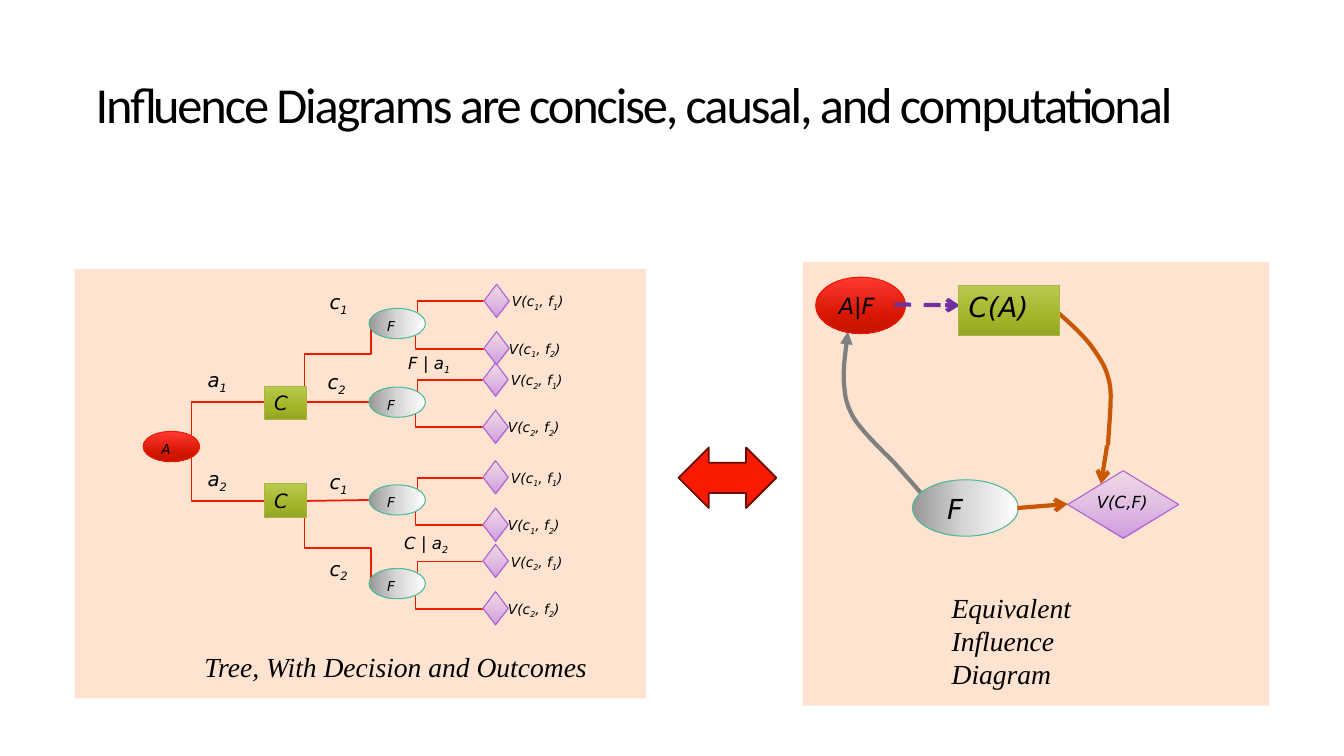
from dataclasses import dataclass
from itertools import product
from typing import NamedTuple

from lxml.etree import SubElement
from pptx import Presentation
from pptx.dml.color import RGBColor
from pptx.enum.dml import MSO_LINE
from pptx.enum.shapes import MSO_CONNECTOR, MSO_SHAPE
from pptx.enum.text import MSO_ANCHOR, MSO_AUTO_SIZE, PP_ALIGN
from pptx.oxml import parse_xml
from pptx.oxml.ns import nsdecls, qn
from pptx.util import Emu, Pt

SCALE = 9144  # EMU in one px, 100 px to the inch


class Stop(NamedTuple):
    position: int
    color: str
    opacity: int = 100


class Style(NamedTuple):
    shape: MSO_SHAPE
    outline: str
    angle: int
    stops: tuple[Stop, ...]


class Point(NamedTuple):
    x: int
    y: int


class Branch(NamedTuple):
    """An F node of the tree with its two outcomes."""
    top: int
    choice: int
    diamond_left: int


class Label(NamedTuple):
    text: str
    left: int
    top: int
    width: int
    height: int
    size: float


@dataclass(frozen=True)
class Theme:
    panel: str = "FEE4D0"
    ink: str = "000000"
    tree_line: str = "ED1A02"
    causal: str = "CA5703"
    feedback: str = "808080"
    inform: str = "7030A0"
    arrow: str = "F81B02"
    arrow_edge: str = "680B01"
    sans: str = "DejaVu Sans"
    serif: str = "Times New Roman"
    heading: str = "Calibri"
    title: float = 36
    large: float = 19.7
    node: float = 16
    medium: float = 14.1
    small: float = 11.9
    tiny: float = 9.8


THEME = Theme()
ACTION = Style(MSO_SHAPE.OVAL, "ED1A02", 90,
               (Stop(0, "FF3933"), Stop(69, "D51600"), Stop(100, "C31400")))
CHANCE = Style(MSO_SHAPE.OVAL, "4CBB98", 0,
               (Stop(0, "979797"), Stop(50, "D7D7D7"), Stop(100, "FFFFFF")))
CHOICE = Style(MSO_SHAPE.RECTANGLE, "A7B63E", 90,
               (Stop(0, "B9C94F"), Stop(69, "A1B327"), Stop(100, "94A424")))
VALUE = Style(MSO_SHAPE.DIAMOND, "AD5CCB", 90,
              (Stop(0, "E7D1F1", 60), Stop(100, "CA94E2", 92)))

deck = Presentation()
deck.slide_width, deck.slide_height = Emu(1333 * SCALE), Emu(750 * SCALE)
page = deck.slides.add_slide(deck.slide_layouts[5])


def px(*lengths: int) -> list[Emu]:
    return [Emu(round(length * SCALE)) for length in lengths]


def write(box, text: str, *, size: float, font: str = THEME.sans, italic: bool = True,
          anchor=MSO_ANCHOR.TOP, align=PP_ALIGN.LEFT, left_inset: int = 10) -> None:
    """Write lines of text; the digit after each underscore is a subscript."""
    frame = box.text_frame
    frame.word_wrap = True
    frame.vertical_anchor = anchor
    frame.margin_left, frame.margin_right, frame.margin_top, frame.margin_bottom = px(
        left_inset, 10, 5, 5)
    for index, line in enumerate(text.split("\n")):
        para = frame.add_paragraph() if index else frame.paragraphs[0]
        para.alignment = align
        first, *rest = line.split("_")
        parts = [(first, False)]
        for part in rest:
            parts += [(part[0], True), (part[1:], False)]
        for content, lowered in parts:
            if not content:
                continue
            span = para.add_run()
            span.text = content
            span.font.size, span.font.name, span.font.italic = Pt(size), font, italic
            span.font.color.rgb = RGBColor.from_string(THEME.ink)
            if lowered:
                span._r.get_or_add_rPr().set("baseline", "-25000")


def add_text(label: Label, font: str = THEME.sans) -> None:
    box = page.shapes.add_textbox(*px(*label[1:5]))
    write(box, label.text, size=label.size, font=font)


def add_solid(shape: MSO_SHAPE, *place: int, fill: str, edge: str = "") -> None:
    box = page.shapes.add_shape(shape, *px(*place))
    box.shadow.inherit = False
    box.fill.solid()
    box.fill.fore_color.rgb = RGBColor.from_string(fill)
    if edge:
        stroke(box, edge, 1.25)
    else:
        box.line.fill.background()


def add_node(style: Style, *place: int, text: str = "", vertical: bool = False, **text_format) -> None:
    box = page.shapes.add_shape(style.shape, *px(*place))
    box.shadow.inherit = False
    box.fill.solid()
    stops = "".join(
        f'<a:gs pos="{stop.position * 1000}"><a:srgbClr val="{stop.color}">'
        f'<a:alpha val="{stop.opacity * 1000}"/></a:srgbClr></a:gs>' for stop in style.stops)
    gradient = parse_xml(f'<a:gradFill {nsdecls("a")} rotWithShape="1"><a:gsLst>{stops}</a:gsLst>'
                         f'<a:lin ang="{style.angle * 60000}" scaled="0"/></a:gradFill>')
    properties = box._element.spPr
    properties.replace(properties.find(qn("a:solidFill")), gradient)
    stroke(box, style.outline, 0.75)
    if text:
        write(box, text, **text_format)
    if vertical:
        box.text_frame.auto_size = MSO_AUTO_SIZE.SHAPE_TO_FIT_TEXT
        box.text_frame._txBody.bodyPr.set("vert", "wordArtVert")


def stroke(item, color: str, width: float, *, head: str = "", tail: str = "", dashed: bool = False) -> None:
    item.line.color.rgb = RGBColor.from_string(color)
    item.line.width = Pt(width)
    if dashed:
        item.line.dash_style = MSO_LINE.DASH
    for tag, kind in (("a:headEnd", head), ("a:tailEnd", tail)):
        if kind:
            SubElement(item.line._ln, qn(tag), type=kind)


def add_line(start: Point, end: Point, color: str = THEME.tree_line, width: float = 1.25, **ends) -> None:
    line = page.shapes.add_connector(MSO_CONNECTOR.STRAIGHT, *px(*start, *end))
    stroke(line, color, width, **ends)
    SubElement(line._element.spPr, qn("a:effectLst"))


def add_elbow(start: Point, end: Point, bends: int = 1) -> None:
    """Leave start vertically; a turned connector lies across its own box."""
    across, down = end.x - start.x, abs(end.y - start.y)
    left, top = (start.x + end.x - down) / 2, (start.y + end.y - across) / 2
    line = page.shapes.add_connector(MSO_CONNECTOR.ELBOW, *px(left, top, left + down, top + across))
    properties = line._element.spPr
    properties.find(qn("a:prstGeom")).set("prst", f"bentConnector{bends + 1}")
    turn = properties.find(qn("a:xfrm"))
    rising = end.y < start.y
    turn.set("rot", str((90 if rising else 270) * 60000))
    turn.set("flipH", "1")
    turn.set("flipV", "1" if rising else "0")
    stroke(line, THEME.tree_line, 1.25)
    SubElement(properties, qn("a:effectLst"))


def add_curve(points: list[Point], color: str, **ends) -> None:
    """Draw joined cubic curves, each with two control points and an end."""
    track, steps = [], 12
    for first in range(0, len(points) - 1, 3):
        a, b, c, d = points[first:first + 4]
        for t in (step / steps for step in range(1, steps + 1)):
            weights = ((1 - t) ** 3, 3 * t * (1 - t) ** 2, 3 * t * t * (1 - t), t ** 3)
            track.append(px(*(sum(w * v for w, v in zip(weights, axis)) for axis in zip(a, b, c, d))))
    builder = page.shapes.build_freeform(*px(*points[0]))
    builder.add_line_segments(track, close=False)
    curve = builder.convert_to_shape()
    curve.shadow.inherit = False
    curve.fill.background()
    stroke(curve, color, 3, **ends)


# Title
title = page.shapes.title
title.left, title.top, title.width, title.height = px(25, 63, 1208, 95)
write(title, "Influence Diagrams are concise, causal, and computational", size=THEME.title,
      font=THEME.heading, italic=False, anchor=MSO_ANCHOR.MIDDLE, align=PP_ALIGN.CENTER)
title.text_frame.auto_size = MSO_AUTO_SIZE.NONE
title.text_frame.paragraphs[0].line_spacing = 0.65
title.text_frame.paragraphs[0].runs[0]._r.get_or_add_rPr().set("spc", "-150")

# Influence diagram
add_solid(MSO_SHAPE.RECTANGLE, 796, 260, 463, 440, fill=THEME.panel)
add_curve([Point(1049, 310), Point(1063, 322), Point(1077, 335), Point(1085, 347),
           Point(1094, 360), Point(1098, 367), Point(1101, 383),
           Point(1103, 398), Point(1099, 432), Point(1099, 442)], THEME.causal)
add_line(Point(1098, 442), Point(1092, 480), THEME.causal, 3, tail="arrow")
add_line(Point(886, 458), Point(916, 492), THEME.feedback, 3)
add_curve([Point(841, 329), Point(839, 347), Point(836, 364), Point(837, 379),
           Point(838, 393), Point(839, 401), Point(847, 415),
           Point(855, 428), Point(879, 451), Point(886, 458)], THEME.feedback, head="triangle")
add_node(ACTION, 809, 275, 89, 56, text="A|F", size=THEME.node, anchor=MSO_ANCHOR.MIDDLE)
add_node(CHANCE, 905, 476, 105, 56, text="F", size=THEME.large, anchor=MSO_ANCHOR.MIDDLE, left_inset=19)
add_line(Point(887, 302), Point(952, 303), THEME.inform, 3, tail="arrow", dashed=True)
add_node(CHOICE, 951, 283, 100, 50, text="C(A)", size=THEME.large)
add_node(VALUE, 1059, 467, 110, 67)
add_line(Point(1009, 504), Point(1059, 500), THEME.causal, 3, tail="arrow")
add_text(Label("V(C,F)", 1078, 483, 75, 30, THEME.small))
add_text(Label("Equivalent\nInfluence Diagram", 934, 581, 215, 76, THEME.large), THEME.serif)

# Decision tree: connectors first, then nodes and outcomes
add_solid(MSO_SHAPE.RECTANGLE, 74, 267, 567, 426, fill=THEME.panel)
branches = [Branch(306, 1, 480), Branch(384, 2, 479), Branch(481, 1, 479), Branch(564, 2, 479)]
add_elbow(Point(190, 432), Point(262, 399))
add_elbow(Point(190, 454), Point(262, 497))
add_elbow(Point(302, 385), Point(368, 317), bends=2)
add_elbow(Point(302, 508), Point(368, 579), bends=2)
add_line(Point(303, 399), Point(366, 399))
add_line(Point(304, 497), Point(366, 496))
for branch in branches:
    add_elbow(Point(412, branch.top + 19), Point(480, branch.top + 40))
    add_elbow(Point(414, branch.top + 4), Point(480, branch.top - 7))
    add_node(CHANCE, 366, branch.top, 56, 30, text="F", size=THEME.tiny,
             anchor=MSO_ANCHOR.MIDDLE, vertical=True)
add_node(ACTION, 142, 428, 56, 30, text="A", size=THEME.tiny, anchor=MSO_ANCHOR.MIDDLE, vertical=True)
for top in (383, 480):
    add_node(CHOICE, 262, top, 42, 33, text="C", size=THEME.medium)
for branch, (outcome, rise, gap) in product(branches, ((1, -24, 18), (2, 23, 15))):
    top = branch.top + rise
    add_node(VALUE, branch.diamond_left, top, 25, 33)
    add_text(Label(f"V(c_{branch.choice}, f_{outcome})", branch.diamond_left + gap, top + 4, 76, 27, THEME.tiny))

# Tree labels
for text, left, top in (("a_1", 196, 360), ("a_2", 196, 458), ("c_1", 317, 283),
                        ("c_2", 315, 362), ("c_1", 317, 461), ("c_2", 317, 547)):
    add_text(Label(text, left, top, 51, 34, THEME.medium))
add_text(Label("F | a_1", 395, 345, 102, 30, THEME.small))
add_text(Label("C | a_2", 391, 524, 102, 30, THEME.small))
add_text(Label("Tree, With Decision and Outcomes", 193, 640, 417, 43, THEME.large), THEME.serif)

# Equivalence arrow
add_solid(MSO_SHAPE.LEFT_RIGHT_ARROW, 673, 444, 97, 60, fill=THEME.arrow, edge=THEME.arrow_edge)

deck.save("out.pptx")
